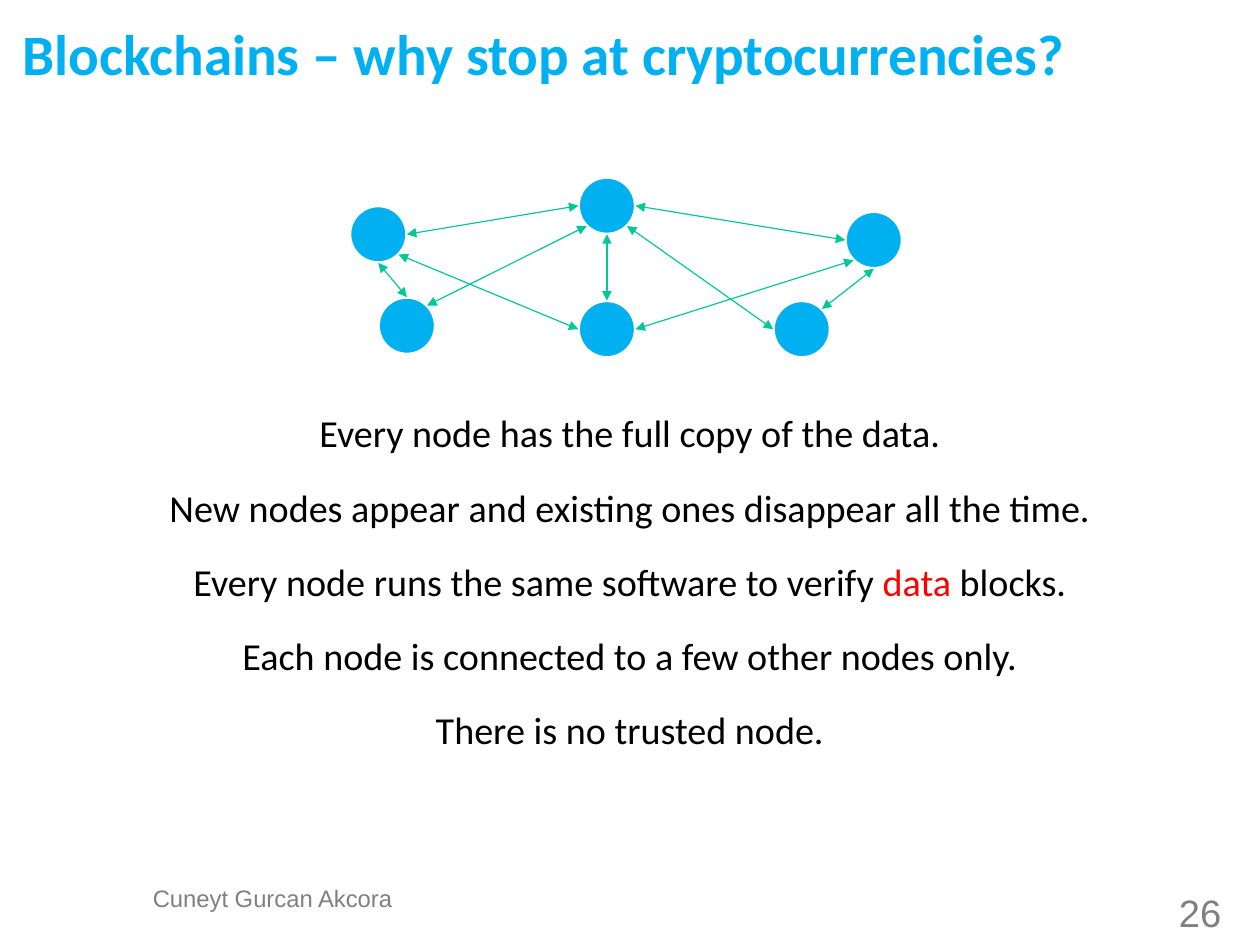
"""Build a slide on blockchain nodes with a small network diagram."""
from math import cos, pi, sin

from lxml import etree
from pptx import Presentation
from pptx.dml.color import RGBColor
from pptx.enum.shapes import MSO_CONNECTOR, MSO_SHAPE
from pptx.enum.text import PP_ALIGN
from pptx.oxml.ns import qn
from pptx.util import Cm, Inches, Pt

LEFT, MID = PP_ALIGN.LEFT, PP_ALIGN.CENTER
OVAL, LINE = MSO_SHAPE.OVAL, MSO_CONNECTOR.STRAIGHT
BLUE = RGBColor(0x00, 0xB0, 0xF0)
GREEN = RGBColor(0x00, 0xC8, 0x96)
GRAY = RGBColor(0x80, 0x80, 0x80)
RED = RGBColor(0xFF, 0x00, 0x00)
BLACK = RGBColor(0x00, 0x00, 0x00)
WHITE = RGBColor(0xFF, 0xFF, 0xFF)

CELL = 0.5
SIDES = ("E", "SE", "S", "SW", "W", "NW", "N", "NE")

TITLE = "Blockchains – why stop at cryptocurrencies?"
AUTHOR = "Cuneyt Gurcan Akcora"
PAGE = "26"
POINTS = [
    [("Every node has the full copy of the data.", BLACK)],
    [("New nodes appear and existing ones disappear all the time.", BLACK)],
    [("Every node runs the same software to verify ", BLACK),
     ("data", RED), (" blocks.", BLACK)],
    [("Each node is connected to a few other nodes only.", BLACK)],
    [("There is no trusted node.", BLACK)],
]
NODES = {
    "west": (6.12, 3.6),
    "top": (10.12, 3.1),
    "east": (14.79, 3.7),
    "low west": (6.62, 5.2),
    "low": (10.12, 5.26),
    "low east": (13.53, 5.26),
}
LINKS = [
    ("west", "SE", "low", "W"),
    ("west", "E", "top", "W"),
    ("top", "E", "east", "W"),
    ("low", "E", "east", "SW"),
    ("low", "N", "top", "S"),
    ("low west", "N", "west", "S"),
    ("low west", "NE", "top", "SW"),
    ("low east", "NE", "east", "S"),
    ("top", "SE", "low east", "W"),
]

HEAD = {"size": Pt(36), "name": "Calibri", "bold": True}
BODY = {"size": Pt(24), "name": "Calibri"}
FOOT = {"size": Pt(15), "name": "Arial"}
COUNT = {"size": Pt(24), "name": "Arial"}
BARE = {"margin_left": 0, "margin_right": 0, "margin_top": 0,
        "margin_bottom": 0, "word_wrap": True}
PADDED = {"word_wrap": True}
FIRST, STEP = 7.07, 1.3


def grid(*cells):
    return [Inches(cell * CELL) for cell in cells]


def assign(item, values):
    for name, value in values.items():
        setattr(item, name, value)


def write(slide, area, runs, font, align=MID, pitch=1.0, frame=BARE):
    box = slide.shapes.add_textbox(*grid(*area)).text_frame
    assign(box, frame)
    para = box.paragraphs[0]
    assign(para, {"alignment": align, "line_spacing": pitch})
    for text, color in runs:
        run = para.add_run()
        run.text = text
        assign(run.font, font)
        run.font.color.rgb = color


def draw_node(slide, place):
    node = slide.shapes.add_shape(OVAL, *grid(*place, 1, 1))
    node.shadow.inherit = False
    node.fill.solid()
    node.fill.fore_color.rgb = BLUE
    node.line.color.rgb = WHITE
    node.line.width = Pt(2)


def rim(name, side):
    col, row = NODES[name]
    turn = SIDES.index(side) * pi / 4
    return grid(col + 0.5 + cos(turn) / 2, row + 0.5 + sin(turn) / 2)


def draw_link(slide, start, out, end, into):
    link = slide.shapes.add_connector(LINE, *rim(start, out), *rim(end, into))
    link.line.color.rgb = GREEN
    link.line.width = Pt(0.75)
    stroke = link.line._get_or_add_ln()
    for tip in ("a:headEnd", "a:tailEnd"):
        etree.SubElement(stroke, qn(tip), type="triangle")
    etree.SubElement(link._element.spPr, qn("a:effectLst"))


def main():
    deck = Presentation()
    deck.slide_width = Cm(28)
    deck.slide_height = Cm(21)
    slide = deck.slides.add_slide(deck.slide_layouts[6])
    write(slide, (0.4, 0.3, 19.84, 1.1), [(TITLE, BLUE)], HEAD, LEFT, 1.02)
    for place in NODES.values():
        draw_node(slide, place)
    for link in LINKS:
        draw_link(slide, *link)
    for index, runs in enumerate(POINTS):
        area = (1.02, FIRST + index * STEP, 20, 1)
        write(slide, area, runs, BODY, frame=PADDED)
    write(slide, (2.6, 15.5, 4.34, 0.74), [(AUTHOR, GRAY)], FOOT, pitch=0.93)
    write(slide, (20, 15.64, 2, 0.8), [(PAGE, GRAY)], COUNT, pitch=0.93)
    deck.save("out.pptx")


if __name__ == "__main__":
    main()
